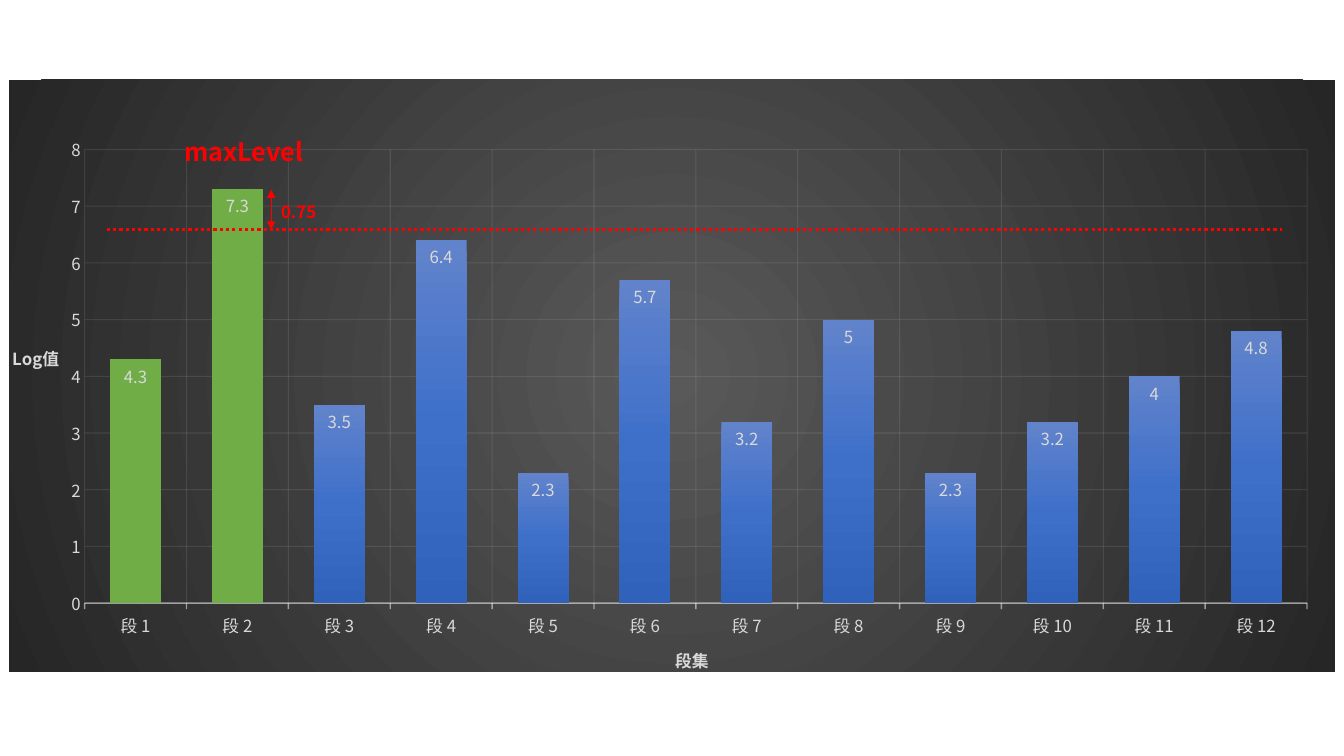
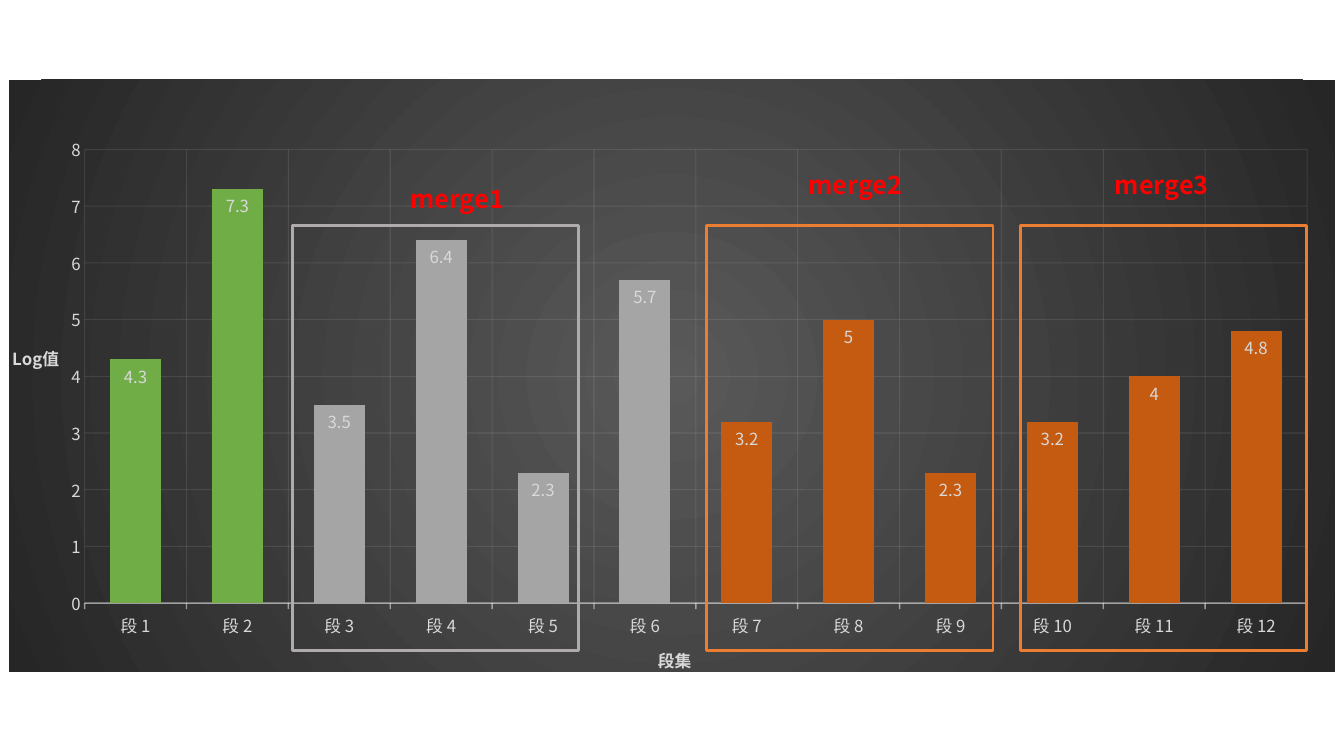
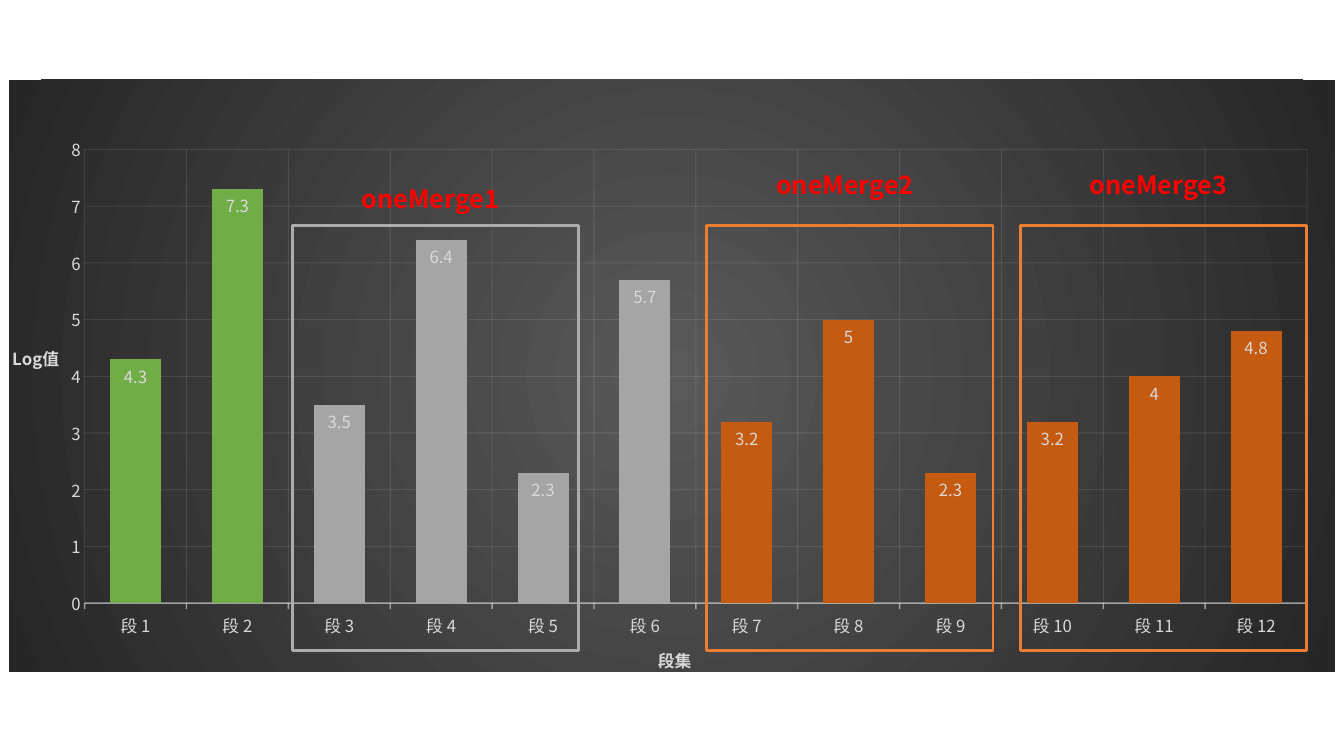
from dataclasses import dataclass

from lxml import etree
from pptx import Presentation
from pptx.chart.data import CategoryChartData
from pptx.dml.color import RGBColor
from pptx.enum import chart as ch, dml, shapes, text
from pptx.oxml import parse_xml
from pptx.oxml.ns import nsdecls, qn
from pptx.util import Inches, Pt


# Theme
@dataclass(frozen=True)
class Theme:
    font: str = "Noto Sans CJK SC"
    chart_text: str = "D9D9D9"
    grid: str = "F2F2F2"
    accent: str = "FF0000"
    green: str = "70AD47"
    grey: str = "A5A5A5"
    rust: str = "C55A11"
    grey_frame: str = "AFABAB"
    orange_frame: str = "ED7D31"
    backdrop: tuple = ((0, "595959"), (100, "262626"))
    bars: tuple = ((0, "6183CB"), (50, "3E70CA"), (100, "3062BB"))
    small: int = 12
    large: int = 18


T = Theme()
LEVELS = (4.3, 7.3, 3.5, 6.4, 2.3, 5.7, 3.2, 5, 2.3, 3.2, 4, 4.8)
LARGE_SEGMENTS = [T.green] * 2
MERGE_GROUPS = LARGE_SEGMENTS + [T.grey] * 4 + [T.rust] * 6
MERGE_FRAMES = ((2.9, T.grey_frame), (7.01, T.orange_frame), (10.12, T.orange_frame))


# Formatting helpers
def rgb(value):
    return RGBColor.from_string(value)


def style_font(font, size, color, bold=False):
    font.name = T.font
    font.size = Pt(size)
    font.bold = bold
    font.color.rgb = rgb(color)


def style_line(line, color, width, alpha=None):
    line.color.rgb = rgb(color)
    line.width = Pt(width)
    if alpha:
        clr = line.fill._xPr.find(qn("a:solidFill")).find(qn("a:srgbClr"))
        etree.SubElement(clr, qn("a:alpha")).set("val", str(alpha * 1000))


def gradient(stops, direction):
    gs = "".join(f'<a:gs pos="{pos * 1000}"><a:srgbClr val="{color}"/></a:gs>'
                 for pos, color in stops)
    return f'<a:gradFill rotWithShape="1"><a:gsLst>{gs}</a:gsLst>{direction}</a:gradFill>'


def set_layout(parent, index, **fractions):
    for old in parent.findall(qn("c:layout")):
        parent.remove(old)
    target = '<c:layoutTarget val="inner"/>' if "w" in fractions else ""
    modes = "".join(f'<c:{k}Mode val="edge"/>' for k in ("x", "y"))
    sizes = "".join(f'<c:{k} val="{v}"/>' for k, v in fractions.items())
    parent.insert(index, parse_xml(
        f'<c:layout {nsdecls("c")}><c:manualLayout>{target}{modes}{sizes}'
        '</c:manualLayout></c:layout>'))


# Chart parts
def style_axis(axis, title, x, y):
    axis.has_major_gridlines = True
    style_line(axis.major_gridlines.format.line, T.grid, 0.75, 10)
    axis.minor_tick_mark = ch.XL_TICK_MARK.NONE
    style_font(axis.tick_labels.font, T.small, T.chart_text)
    tf = axis.axis_title.text_frame
    r = tf.paragraphs[0].add_run()
    r.text = title
    style_font(r.font, T.small, T.chart_text, True)
    body = tf._txBody.find(qn("a:bodyPr"))
    body.set("rot", "0")
    body.set("vert", "horz")
    set_layout(axis.axis_title._element, 1, x=x, y=y)


def style_series(plot, point_colors):
    plot.gap_width = 100
    plot.overlap = -24
    plot.vary_by_categories = False
    series = plot.series[0]
    series.invert_if_negative = False
    fill = gradient(T.bars, '<a:lin ang="5400000" scaled="0"/>')
    sp_pr = parse_xml(f'<c:spPr {nsdecls("c", "a")}>{fill}</c:spPr>')
    series.format.fill._xPr.append(sp_pr[0])
    for i, color in enumerate(point_colors):
        fill = series.points[i].format.fill
        fill.solid()
        fill.fore_color.rgb = rgb(color)
    plot.has_data_labels = True
    labels = plot.data_labels
    labels.show_value = True
    labels.position = ch.XL_LABEL_POSITION.INSIDE_END
    style_font(labels.font, T.small, T.chart_text)


def add_level_chart(s, point_colors, title_x):
    data = CategoryChartData()
    data.categories = [f"段 {n}" for n in range(1, len(LEVELS) + 1)]
    data.add_series("Series 1", LEVELS)
    chart = s.shapes.add_chart(
        ch.XL_CHART_TYPE.COLUMN_CLUSTERED, Inches(0.09), Inches(0.79),
        Inches(13.15), Inches(5.93), data).chart
    chart.has_legend = False
    chart.has_title = False
    style_font(chart.font, 10, "000000")

    cat, val = chart.category_axis, chart.value_axis
    style_axis(cat, "段集", title_x, 0.95)
    cat.major_tick_mark = ch.XL_TICK_MARK.OUTSIDE
    style_line(cat.format.line, T.grid, 1, 54)
    style_axis(val, "Log值", 0, 0.44)
    val.major_tick_mark = ch.XL_TICK_MARK.NONE
    val.format.line.fill.background()
    val.minimum_scale, val.maximum_scale, val.major_unit = 0, 8, 1
    style_series(chart.plots[0], point_colors)

    # Plot area, backdrop and East Asian font
    root = chart._chartSpace
    body = root.find(qn("c:chart"))
    set_layout(body.find(qn("c:plotArea")), 0, x=0.057, y=0.118, w=0.922, h=0.766)
    fill = gradient(T.backdrop, '<a:path path="circle"><a:fillToRect l="50000" '
                                't="50000" r="50000" b="50000"/></a:path>')
    body.addnext(parse_xml(f'<c:spPr {nsdecls("c", "a")}>{fill}'
                           '<a:ln><a:noFill/></a:ln></c:spPr>'))
    for latin in list(root.iter(qn("a:latin"))):
        ea = etree.Element(qn("a:ea"))
        ea.set("typeface", T.font)
        latin.addnext(ea)


# Annotations
def add_label(s, content, x, y, w, h=0.4, size=T.large):
    sp = s.shapes.add_textbox(Inches(x), Inches(y), Inches(w), Inches(h))
    tf = sp.text_frame
    tf.word_wrap = False
    tf.auto_size = text.MSO_AUTO_SIZE.SHAPE_TO_FIT_TEXT
    r = tf.paragraphs[0].add_run()
    r.text = content
    style_font(r.font, size, T.accent, True)


def add_rule(s, x1, y1, x2, y2, width, dash=None, arrows=False):
    rule = s.shapes.add_connector(shapes.MSO_CONNECTOR.STRAIGHT, Inches(x1),
                                  Inches(y1), Inches(x2), Inches(y2))
    style_line(rule.line, T.accent, width)
    if dash:
        rule.line.dash_style = dash
    if arrows:
        ln = rule.line._get_or_add_ln()
        for end in ("a:headEnd", "a:tailEnd"):
            etree.SubElement(ln, qn(end)).set("type", "triangle")
    etree.SubElement(rule._element.spPr, qn("a:effectLst"))


def add_frame(s, x, color):
    sp = s.shapes.add_shape(shapes.MSO_SHAPE.RECTANGLE, Inches(x), Inches(2.24),
                            Inches(2.84), Inches(4.21))
    sp.shadow.inherit = False
    sp.fill.background()
    style_line(sp.line, color, 2)


# Slides
def new_slide(prs):
    return prs.slides.add_slide(prs.slide_layouts[6])


def add_max_level_slide(prs):
    s = new_slide(prs)
    add_level_chart(s, LARGE_SEGMENTS, 0.5)
    add_label(s, "maxLevel", 1.73, 1.3, 1.39)
    add_rule(s, 1.06, 2.28, 12.72, 2.28, 2.25, dash=dml.MSO_LINE.ROUND_DOT)
    add_rule(s, 2.69, 1.88, 2.69, 2.28, 0.75, arrows=True)
    add_label(s, "0.75", 2.69, 1.95, 0.56, 0.3, T.small)


def add_merge_slide(prs, name, label_width, label_lefts):
    s = new_slide(prs)
    add_level_chart(s, MERGE_GROUPS, 0.487)
    for x, color in MERGE_FRAMES:
        add_frame(s, x, color)
    for n, (x, y) in enumerate(zip(label_lefts, (1.77, 1.63, 1.63)), 1):
        add_label(s, f"{name}{n}", x, y, label_width)


def main():
    prs = Presentation()
    prs.slide_width, prs.slide_height = Inches(13.33), Inches(7.5)
    add_max_level_slide(prs)
    add_merge_slide(prs, "merge", 1.17, (3.97, 7.92, 10.96))
    add_merge_slide(prs, "oneMerge", 1.66, (3.49, 7.6, 10.71))
    prs.save("out.pptx")


if __name__ == "__main__":
    main()
